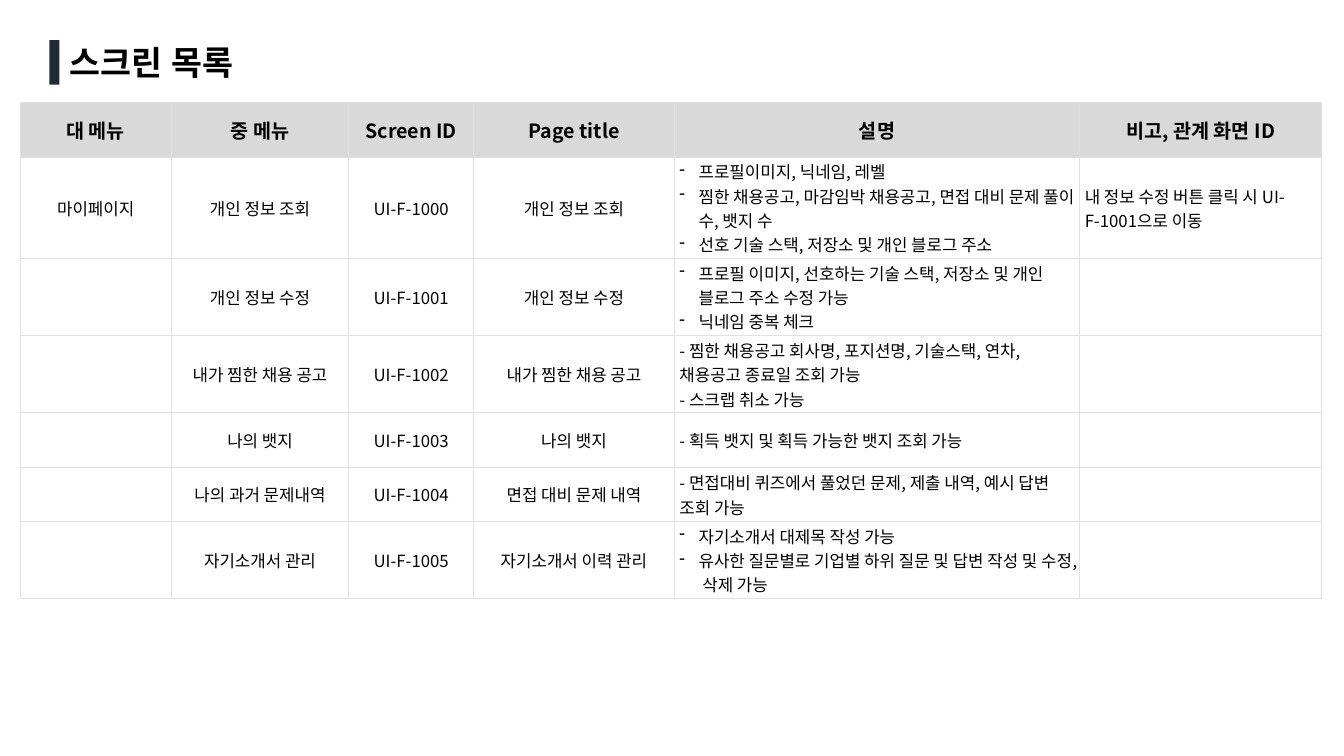
import copy
import dataclasses

import pptx
import pptx.dml.color
import pptx.enum.shapes
import pptx.enum.text
import pptx.oxml
import pptx.oxml.ns
import pptx.util


@dataclasses.dataclass(frozen=True)
class Theme:
    """Colours, fonts and type sizes of the slide."""
    ink: str = "000000"
    accent: str = "222A35"
    header: str = "D9D9D9"
    body: str = "FFFFFF"
    border: str = "DFE2E5"
    title_font: str = "Arial"
    table_font: str = "Noto Sans CJK KR"
    title_size: int = 24
    header_size: int = 14
    body_size: int = 12
    border_width: float = 0.75


THEME = Theme()
SLIDE_WIDTH = pptx.util.Inches(13.33)
SLIDE_HEIGHT = pptx.util.Inches(7.5)
CENTER = pptx.enum.text.PP_ALIGN.CENTER
LEFT = pptx.enum.text.PP_ALIGN.LEFT

COLUMN_SHARES = [11.25, 13.2, 9.3, 14.93, 30.16, 18]
ROW_SHARE = 7.2
CENTERED_COLUMNS = 4
HEADERS = ["대 메뉴", "중 메뉴", "Screen ID", "Page title", "설명", "비고, 관계 화면 ID"]
SCREENS = [
    ["마이페이지", "개인 정보 조회", "UI-F-1000", "개인 정보 조회",
     ["프로필이미지, 닉네임, 레벨",
      "찜한 채용공고, 마감임박 채용공고, 면접 대비 문제 풀이 수, 뱃지 수",
      "선호 기술 스택, 저장소 및 개인 블로그 주소"],
     "내 정보 수정 버튼 클릭 시 UI-F-1001으로 이동"],
    ["", "개인 정보 수정", "UI-F-1001", "개인 정보 수정",
     ["프로필 이미지, 선호하는 기술 스택, 저장소 및 개인 블로그 주소 수정 가능",
      "닉네임 중복 체크"], ""],
    ["", "내가 찜한 채용 공고", "UI-F-1002", "내가 찜한 채용 공고",
     "- 찜한 채용공고 회사명, 포지션명, 기술스택, 연차, 채용공고 종료일 조회 가능\v- 스크랩 취소 가능", ""],
    ["", "나의 뱃지", "UI-F-1003", "나의 뱃지",
     "- 획득 뱃지 및 획득 가능한 뱃지 조회 가능", ""],
    ["", "나의 과거 문제내역", "UI-F-1004", "면접 대비 문제 내역",
     "- 면접대비 퀴즈에서 풀었던 문제, 제출 내역, 예시 답변 조회 가능", ""],
    ["", "자기소개서 관리", "UI-F-1005", "자기소개서 이력 관리",
     ["자기소개서 대제목 작성 가능",
      "유사한 질문별로 기업별 하위 질문 및 답변 작성 및 수정, 삭제 가능"], ""],
]


def across(share):
    """Return a percentage of the slide width as a length."""
    return pptx.util.Emu(int(SLIDE_WIDTH * share / 100))


def down(share):
    """Return a percentage of the slide height as a length."""
    return pptx.util.Emu(int(SLIDE_HEIGHT * share / 100))


def area(left, top, width, height):
    """Return a position and size given in percentages of the slide."""
    return across(left), down(top), across(width), down(height)


def color(value):
    """Return a colour object for a hexadecimal value."""
    return pptx.dml.color.RGBColor.from_string(value)


def add_dash(paragraph):
    """Give a paragraph a dash bullet with a hanging indent."""
    properties = paragraph._p.get_or_add_pPr()
    indent = pptx.util.Inches(0.19)
    properties.set("marL", str(indent))
    properties.set("indent", str(-indent))
    bullet = pptx.oxml.parse_xml(
        f'<a:buChar {pptx.oxml.ns.nsdecls("a")} char="-"/>')
    properties.append(bullet)


def write_text(frame, content, *, font, size, bold=False, align=LEFT):
    """Write a string, or a list of dashed items, with one format."""
    dashed = isinstance(content, list)
    for index, line in enumerate(content if dashed else [content]):
        paragraph = frame.add_paragraph() if index else frame.paragraphs[0]
        paragraph.text = line
        paragraph.alignment = align
        if dashed:
            add_dash(paragraph)
        for run in paragraph.runs:
            run.font.name = font
            run.font.size = pptx.util.Pt(size)
            run.font.bold = bold
            run.font.color.rgb = color(THEME.ink)
            properties = run._r.get_or_add_rPr()
            properties.append(pptx.oxml.parse_xml(
                f'<a:ea {pptx.oxml.ns.nsdecls("a")} typeface="{font}"/>'))
        for line_break in paragraph._p.findall(pptx.oxml.ns.qn("a:br")):
            line_break.insert(0, copy.deepcopy(properties))


def add_borders(cell):
    """Draw a thin line on all four sides of a cell."""
    properties = cell._tc.get_or_add_tcPr()
    width = pptx.util.Pt(THEME.border_width)
    for side in ("lnL", "lnR", "lnT", "lnB"):
        properties.append(pptx.oxml.parse_xml(
            f'<a:{side} {pptx.oxml.ns.nsdecls("a")} w="{width}"><a:solidFill>'
            f'<a:srgbClr val="{THEME.border}"/></a:solidFill></a:{side}>'))


def fill_cell(cell, content, *, fill, **text_format):
    """Set the borders, fill, margins and text of a cell."""
    add_borders(cell)
    cell.fill.solid()
    cell.fill.fore_color.rgb = color(fill)
    cell.vertical_anchor = pptx.enum.text.MSO_ANCHOR.MIDDLE
    cell.margin_left = cell.margin_right = pptx.util.Inches(0.05)
    cell.margin_top = cell.margin_bottom = pptx.util.Inches(0.02)
    if content:
        write_text(cell.text_frame, content, font=THEME.table_font, **text_format)


def add_screen_table(slide):
    """Add the table of screens."""
    rows = [HEADERS, *SCREENS]
    table = slide.shapes.add_table(
        len(rows), len(HEADERS),
        *area(1.5, 13.6, sum(COLUMN_SHARES), ROW_SHARE * len(rows))).table
    table.horz_banding = False
    for column, share in zip(table.columns, COLUMN_SHARES):
        column.width = across(share)
    for row_index, contents in enumerate(rows):
        table.rows[row_index].height = down(ROW_SHARE)
        header = row_index == 0
        for column_index, content in enumerate(contents):
            centered = header or column_index < CENTERED_COLUMNS
            fill_cell(table.cell(row_index, column_index), content,
                      fill=THEME.header if header else THEME.body,
                      size=THEME.header_size if header else THEME.body_size,
                      bold=header, align=CENTER if centered else LEFT)


def add_title(slide, text):
    """Add the title and the accent bar beside it."""
    bar = slide.shapes.add_shape(
        pptx.enum.shapes.MSO_SHAPE.RECTANGLE, *area(3.68, 5.33, 0.75, 5.87))
    bar.shadow.inherit = False
    bar.fill.solid()
    bar.fill.fore_color.rgb = color(THEME.accent)
    bar.line.fill.background()
    frame = slide.shapes.add_textbox(*area(4.43, 4.93, 16.13, 6.67)).text_frame
    frame.word_wrap = True
    frame.auto_size = pptx.enum.text.MSO_AUTO_SIZE.SHAPE_TO_FIT_TEXT
    write_text(frame, text, font=THEME.title_font, size=THEME.title_size, bold=True)


def main():
    """Build the slide and save it."""
    presentation = pptx.Presentation()
    presentation.slide_width = SLIDE_WIDTH
    presentation.slide_height = SLIDE_HEIGHT
    slide = presentation.slides.add_slide(presentation.slide_layouts[6])
    add_screen_table(slide)
    add_title(slide, "스크린 목록")
    presentation.save("out.pptx")


if __name__ == "__main__":
    main()
